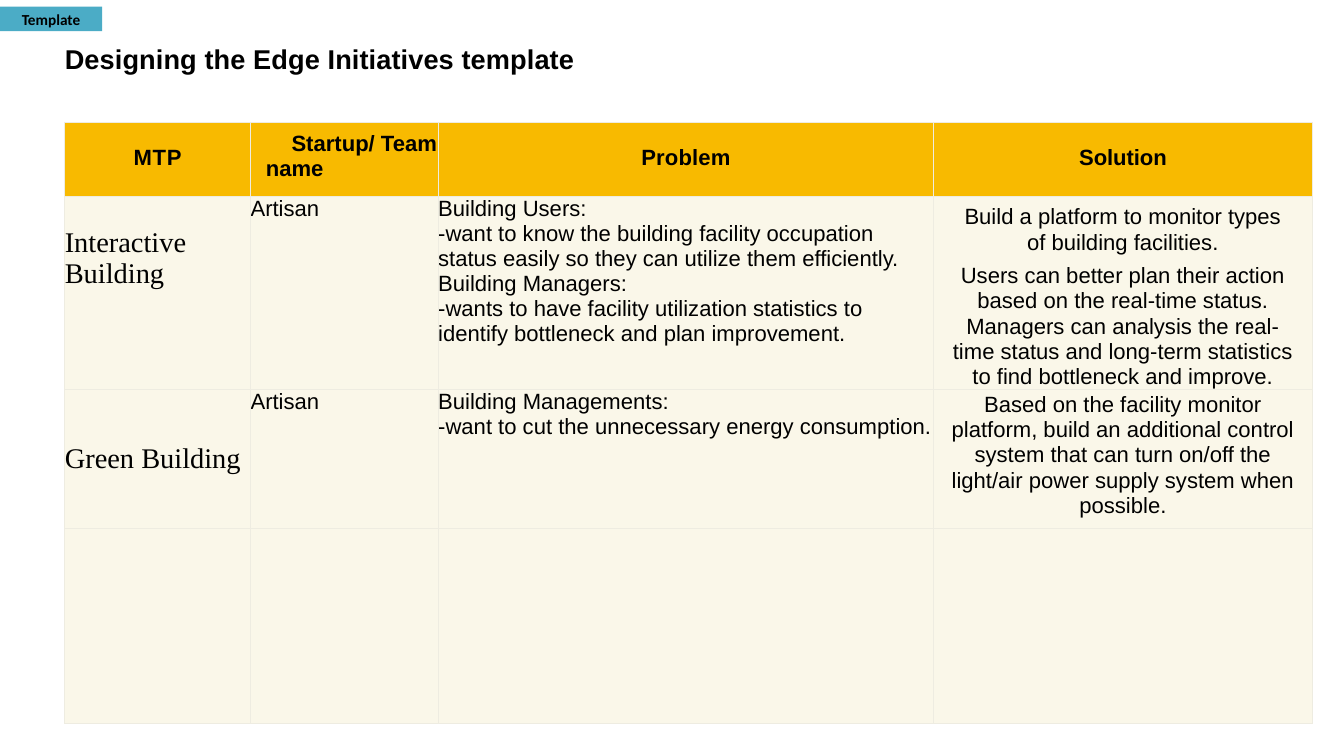
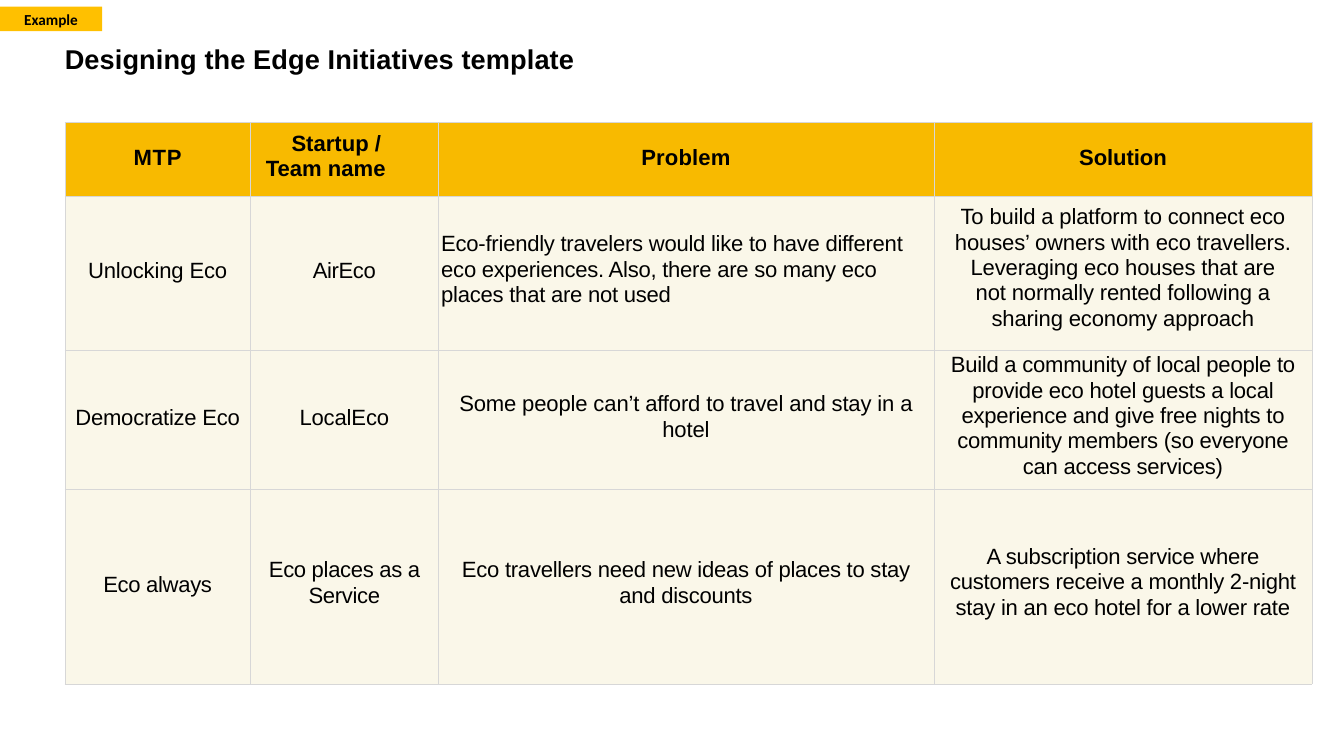
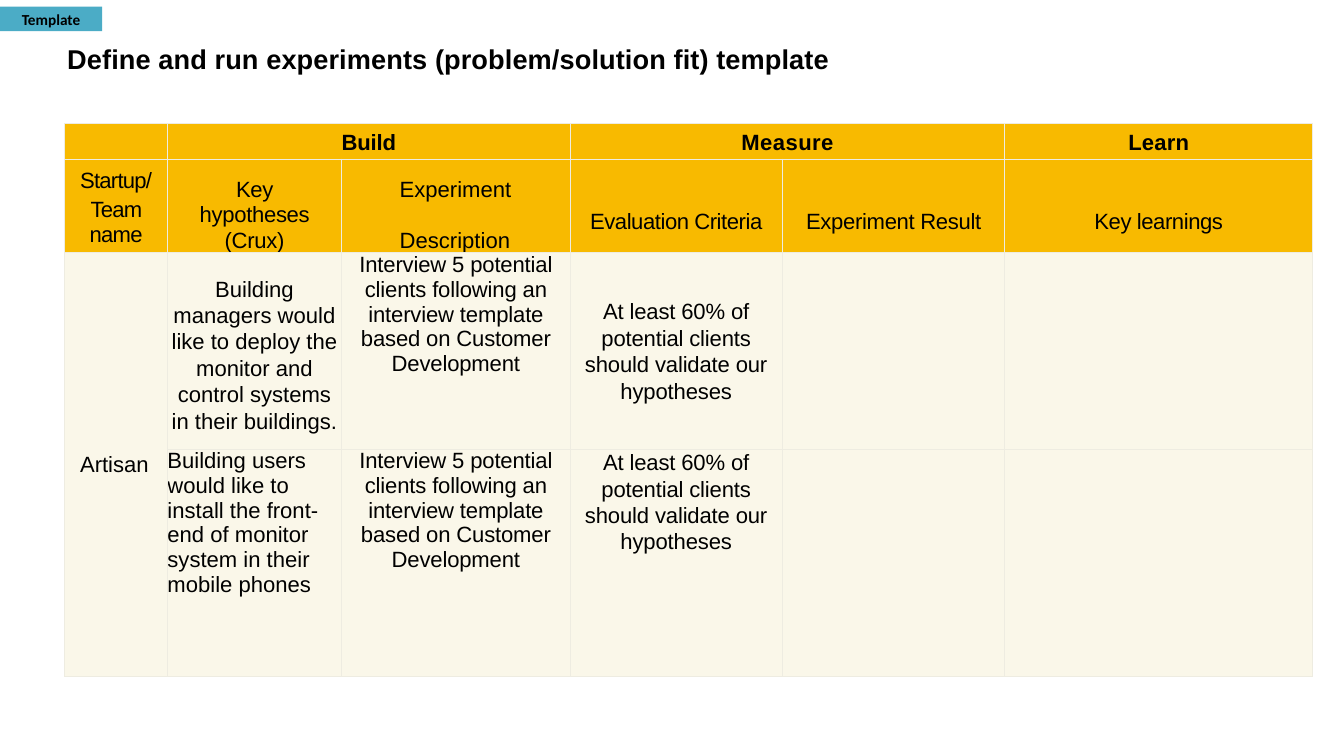
from dataclasses import dataclass

from lxml import etree
from pptx import Presentation
from pptx.dml.color import RGBColor
from pptx.enum.shapes import MSO_SHAPE
from pptx.enum.text import MSO_ANCHOR, PP_ALIGN
from pptx.oxml.ns import qn
from pptx.util import Inches, Pt

LEFT, CENTER = PP_ALIGN.LEFT, PP_ALIGN.CENTER
TOP, MIDDLE = MSO_ANCHOR.TOP, MSO_ANCHOR.MIDDLE
RECTANGLE = MSO_SHAPE.RECTANGLE

BLACK, WHITE = "000000", "FFFFFF"
GOLD, CREAM = "F8BA00", "FAF7E9"
TAGS = {"Template": "4BACC6", "Example": "FFC000"}
SOFT_BORDER, GREY_BORDER = ("EEECE1", 1), ("D7D7D7", 0.25)
LOOSE, FIXED = 1.03, Pt(31.1)
TABLE_LEFT = 1.06


@dataclass
class Cell:
    """Text and format of one table cell; insets in inches, the rest in points."""
    text: str = ""
    top: float = 0
    left: float = 0
    right: float = 0
    first: float = 0
    align: int = CENTER
    anchor: int = TOP
    line: float = 1.0
    gap: float = 0
    tracking: float = 0
    size: float = 26
    font: str = "Arial"
    bold: bool = False


def color(hex_text):
    return RGBColor.from_string(hex_text)


def format_span(span, font, size, bold, tracking=0):
    span.font.name, span.font.size, span.font.bold = font, Pt(size), bold
    span.font.color.rgb = color(BLACK)
    if tracking:
        span.font._element.set("spc", str(round(tracking * 100)))


# Parts shared by all slides
def add_title(page, text, box):
    title = page.shapes.title
    title.left, title.top, title.width, title.height = map(Inches, box)
    frame = title.text_frame
    frame.text = text
    frame.word_wrap = False
    frame.vertical_anchor = TOP
    frame.margin_left = frame.margin_right = frame.margin_bottom = 0
    frame.margin_top = Inches(0.02)
    para = frame.paragraphs[0]
    para.alignment = LEFT
    format_span(para.runs[0], "Arial", 32, True, 0.1)


def add_tag(page, text, box):
    tag = page.shapes.add_shape(RECTANGLE, *map(Inches, box))
    tag.shadow.inherit = False
    tag.fill.solid()
    tag.fill.fore_color.rgb = color(TAGS[text])
    tag.line.fill.background()
    frame = tag.text_frame
    frame.text = text
    frame.word_wrap = True
    frame.vertical_anchor = MIDDLE
    para = frame.paragraphs[0]
    para.alignment = CENTER
    format_span(para.runs[0], "Calibri", 18, True)


# Tables
def add_borders(cell, border):
    hex_text, width = border
    properties = cell._tc.get_or_add_tcPr()
    for side in ("a:lnL", "a:lnR", "a:lnT", "a:lnB"):
        edge = etree.SubElement(properties, qn(side), w=str(Pt(width)))
        fill = etree.SubElement(edge, qn("a:solidFill"))
        etree.SubElement(fill, qn("a:srgbClr"), val=hex_text)


def fill_cell(cell, content, background, border):
    add_borders(cell, border)
    cell.fill.solid()
    cell.fill.fore_color.rgb = color(background)
    cell.margin_left, cell.margin_right = Inches(content.left), Inches(content.right)
    cell.margin_top, cell.margin_bottom = Inches(content.top), 0
    cell.vertical_anchor = content.anchor
    if not content.text:
        return
    cell.text_frame.text = content.text
    for index, para in enumerate(cell.text_frame.paragraphs):
        para.alignment = content.align
        para.line_spacing = content.line
        if index:
            para.space_before = Pt(content.gap)
        if content.first:
            para._p.get_or_add_pPr().set("indent", str(Inches(content.first)))
        for span in para.runs:
            format_span(span, content.font, content.size, content.bold, content.tracking)


def add_grid(page, place, widths, heights, rows, border, header_rows=1, merges=()):
    left, top = place
    box = (left, top, sum(widths), sum(heights))
    table = page.shapes.add_table(len(heights), len(widths), *map(Inches, box)).table
    table.first_row = table.horz_banding = False
    for column, width in zip(table.columns, widths):
        column.width = Inches(width)
    for row, height in zip(table.rows, heights):
        row.height = Inches(height)
    for row, contents in enumerate(rows):
        background = GOLD if row < header_rows else CREAM
        for column, content in enumerate(contents):
            fill_cell(table.cell(row, column), content, background, border)
    for start, end in merges:
        table.cell(*start).merge(table.cell(*end))


# Slide types
def add_page(deck, tag, title, title_box):
    page = deck.slides.add_slide(deck.slide_layouts[5])
    page.background.fill.solid()
    page.background.fill.fore_color.rgb = color(WHITE)
    add_title(page, title, title_box)
    add_tag(page, tag, (0, 0.11, 1.67, 0.4))
    return page


def initiatives_page(deck, tag, team_heading, rows, border):
    page = add_page(deck, tag, "Designing the Edge Initiatives template",
                    (1.06, 0.68, 8.35, 0.56))
    header = [
        Cell("MTP", top=0.38, bold=True, tracking=0.9),
        Cell(team_heading, top=0.14, left=0.25, first=0.42, align=LEFT,
             line=LOOSE, bold=True),
        Cell("Problem", top=0.38, bold=True, tracking=0.2),
        Cell("Solution", top=0.38, bold=True, tracking=-0.1),
    ]
    add_grid(page, (TABLE_LEFT, 2), (3.04, 3.07, 8.11, 6.19),
             (1.21, 2.52, 2.27, 3.19), [header] + rows, border)


def experiments_page(deck, tag, rows):
    page = add_page(deck, tag, "Define and run experiments (problem/solution fit) template",
                    (1.1, 0.68, 12.49, 0.56))
    build, measure, learn = [
        Cell(text, top=0.05, anchor=MIDDLE, bold=True, tracking=tracking)
        for text, tracking in (("Build", -0.2), ("Measure", 0.5), ("Learn", 0.2))]
    phases = [Cell(), build, Cell(), measure, Cell(), learn]
    headings = [
        Cell("Startup/\nTeam name", top=0.06, left=0.1, right=0.1, anchor=MIDDLE,
             line=LOOSE, gap=4.2, tracking=-0.9),
        Cell("Key hypotheses (Crux)", top=0.29, left=0.29, right=0.29, anchor=MIDDLE,
             line=LOOSE, tracking=-0.4),
        Cell("Experiment\nDescription", top=0.29, left=0.95, align=LEFT, anchor=MIDDLE,
             line=LOOSE, gap=30),
        Cell("Evaluation Criteria", top=0.52, anchor=MIDDLE, tracking=-0.55),
        Cell("Experiment Result", top=0.52, left=0.39, align=LEFT, anchor=MIDDLE,
             tracking=-0.4),
        Cell("Key learnings", top=0.52, anchor=MIDDLE, tracking=-0.5),
    ]
    add_grid(page, (TABLE_LEFT, 2.02), (1.68, 2.85, 3.74, 3.47, 3.64, 5.04),
             (0.58, 1.48, 3.21, 3.72), [phases, headings] + rows, SOFT_BORDER,
             header_rows=2,
             merges=[((0, 1), (0, 2)), ((0, 3), (0, 4)), ((2, 0), (3, 0))])


def solution(text, top, tracking=0.0, line=LOOSE):
    return Cell(text, top=top, left=0.2, right=0.2, line=line, gap=9.2, tracking=tracking)


def mission(text, **options):
    return Cell(text, align=LEFT, size=33.5, font="Times New Roman", **options)


deck = Presentation()
deck.slide_width, deck.slide_height = Inches(21.99), Inches(12.37)

# Slide 1: initiatives of the team
artisan = Cell("Artisan", align=LEFT)
initiatives_page(deck, "Template", "Startup/ Team name", [
    [mission("Interactive Building", top=0.5), artisan,
     Cell("Building Users:\n"
          "-want to know the building facility occupation status easily so they can "
          "utilize them efficiently.\n"
          "Building Managers:\n"
          "-wants to have facility utilization statistics to identify bottleneck and "
          "plan improvement.", top=0.01, align=LEFT, gap=0.6),
     solution("Build a platform to monitor types\vof building facilities.\n"
              "Users can better plan their action based on the real-time status.\v"
              "Managers can analysis the real-time status and long-term statistics "
              "to find bottleneck and improve.", 0.13)],
    [mission("Green Building", anchor=MIDDLE), artisan,
     Cell("Building Managements:\n-want to cut the unnecessary energy consumption.",
          align=LEFT, gap=0.2),
     solution("Based on the facility monitor platform, build an additional control "
              "system that can turn on/off the light/air power supply system when "
              "possible.", 0.03)],
    [Cell()] * 4,
], SOFT_BORDER)

# Slide 2: example initiatives
initiatives_page(deck, "Example", "Startup / Team name", [
    [Cell("Unlocking Eco", top=1.02, tracking=-0.2),
     Cell("AirEco", top=1.02, tracking=-0.5),
     Cell("Eco-friendly travelers would like to have different eco experiences. Also, "
          "there are so many eco places that are not used",
          top=0.57, left=0.05, align=LEFT, line=LOOSE, tracking=-0.3),
     solution("To build a platform to connect eco houses’ owners with eco travellers. "
              "Leveraging eco houses that are\vnot normally rented following a sharing "
              "economy approach", 0.13, -0.2)],
    [Cell("Democratize Eco", top=0.9, tracking=-0.3),
     Cell("LocalEco", top=0.9, tracking=-0.2),
     Cell("Some people can’t afford to travel and stay in a hotel", top=0.67,
          left=0.2, right=0.2, line=LOOSE, tracking=-0.2),
     solution("Build a community of local people to provide eco hotel guests a local "
              "experience and give free nights to community members (so everyone can "
              "access services)", 0.03, -0.3)],
    [Cell("Eco always", top=1.37, tracking=-0.4),
     Cell("Eco places as a Service", top=1.12, left=0.2, right=0.2, line=LOOSE,
          tracking=-0.4),
     Cell("Eco travellers need new ideas of places to stay and discounts", top=1.12,
          left=0.2, right=0.2, line=LOOSE, tracking=-0.3),
     solution("A subscription service where customers receive a monthly 2-night stay "
              "in an eco hotel for a lower rate", 0.9, -0.3)],
], GREY_BORDER)

# Slide 3: experiments of the team
interview = Cell("Interview 5 potential clients following an interview template based on "
                 "Customer Development", tracking=-0.2)
criteria = "At least 60% of\npotential clients\nshould validate our\nhypotheses"
experiments_page(deck, "Template", [
    [Cell("Artisan", left=0.25, align=LEFT, anchor=MIDDLE),
     Cell("Building managers would like to deploy the monitor and control systems\v"
          "in their buildings.", top=0.37, line=FIXED),
     interview,
     Cell(criteria, anchor=MIDDLE, line=FIXED, tracking=-0.2),
     Cell(), Cell()],
    [Cell(),
     Cell("Building users would like to install the front-end of monitor system in "
          "their mobile phones", align=LEFT),
     interview,
     Cell(criteria, line=FIXED, tracking=-0.2),
     Cell(), Cell()],
])

deck.save("out.pptx")
